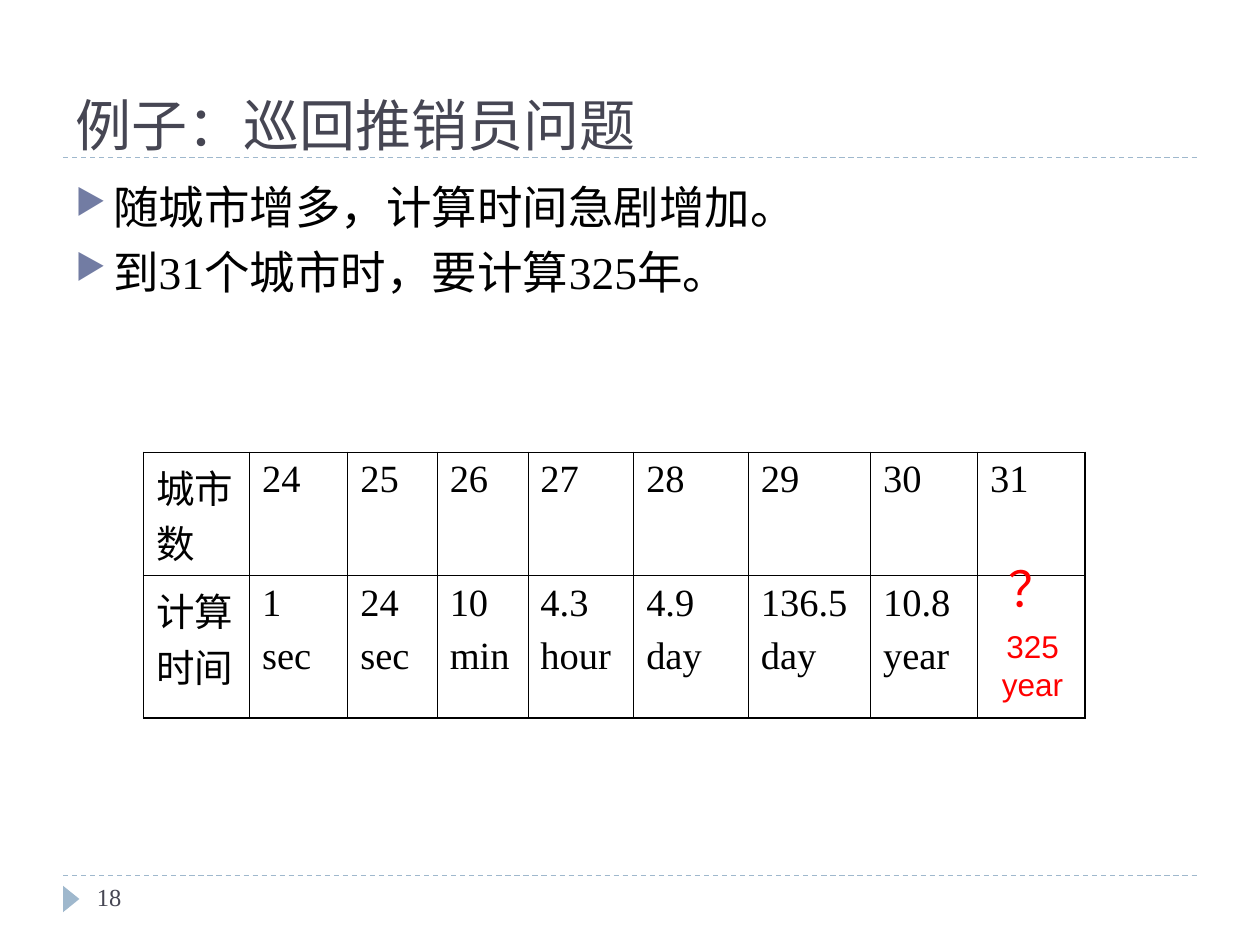
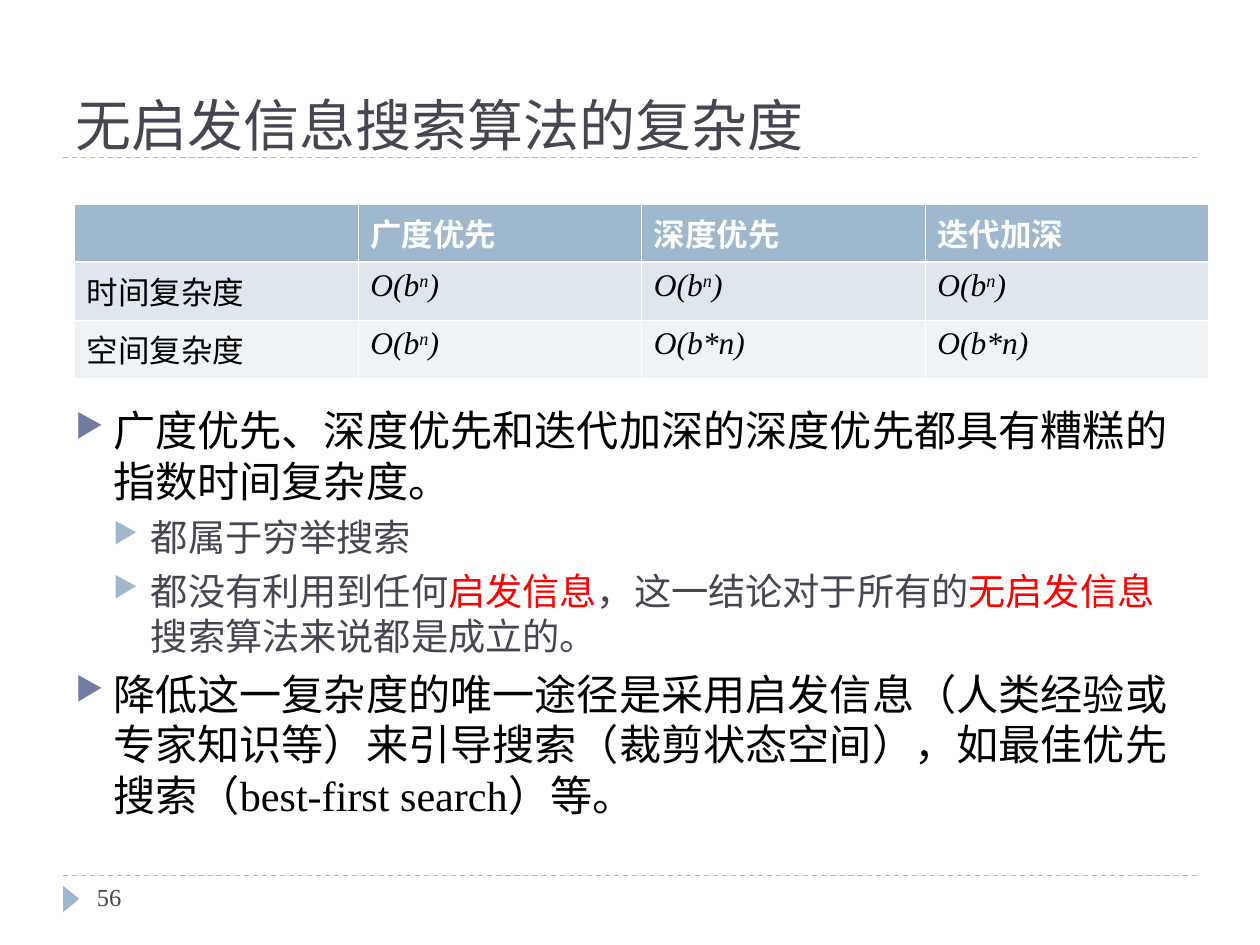
from dataclasses import dataclass

from lxml import etree
from pptx import Presentation
from pptx.dml.color import RGBColor
from pptx.enum.dml import MSO_LINE
from pptx.enum.shapes import MSO_CONNECTOR, MSO_SHAPE
from pptx.enum.text import MSO_ANCHOR, PP_ALIGN
from pptx.oxml.ns import qn
from pptx.util import Inches, Pt

DASH = MSO_LINE.DASH
STRAIGHT = MSO_CONNECTOR.STRAIGHT
TRIANGLE = MSO_SHAPE.ISOSCELES_TRIANGLE
TOP, BOTTOM = MSO_ANCHOR.TOP, MSO_ANCHOR.BOTTOM
LEFT, CENTER = PP_ALIGN.LEFT, PP_ALIGN.CENTER


@dataclass(frozen=True)
class Theme:
    ink: str = "000000"
    slate: str = "464653"
    red: str = "FF0000"
    white: str = "FFFFFF"
    sky: str = "9FB8CD"
    indigo: str = "727CA3"
    bands: tuple = ("DFE6ED", "F0F3F6")
    serif: str = "Times New Roman"
    sans: str = "Arial"
    title_size: float = 32
    page_size: float = 14
    table_size: float = 18
    line_pitch: float = 1.2
    thin: float = 0.45


THEME = Theme()
WIDTH, HEIGHT = 10, 7.5
MARGIN = WIDTH / 20
CONTENT = WIDTH - 2 * MARGIN
TITLE_RULE, FOOTER_RULE = 1.25, 6.95
INDENT = 0.3
# Per bullet level: text colour, bullet colour, space before
LEVELS = ((THEME.ink, THEME.indigo, 6), (THEME.slate, THEME.sky, 5))


def rgb(value):
    return RGBColor.from_string(value)


def style_font(font, size, color, name=THEME.serif, bold=False, italic=False):
    font.size, font.name = Pt(size), name
    font.bold, font.italic = bold, italic
    font.color.rgb = rgb(color)


# Shared slide parts

def add_text(slide, box, text, size, color, name=THEME.serif,
             align=LEFT, anchor=TOP, bottom=0.05):
    shape = slide.shapes.add_textbox(*map(Inches, box))
    frame = shape.text_frame
    frame.word_wrap = True
    frame.vertical_anchor = anchor
    frame.margin_bottom = Inches(bottom)
    frame.text = text
    paragraph = frame.paragraphs[0]
    paragraph.alignment = align
    for run in paragraph.runs:
        style_font(run.font, size, color, name)


def add_rule(slide, y):
    line = slide.shapes.add_connector(
        STRAIGHT, Inches(MARGIN), Inches(y), Inches(WIDTH - MARGIN), Inches(y))
    line.line.color.rgb = rgb(THEME.sky)
    line.line.width = Pt(0.75)
    line.line.dash_style = DASH
    etree.SubElement(line._element.spPr, qn("a:effectLst"))


def add_framed_slide(presentation, title, page):
    slide = presentation.slides.add_slide(presentation.slide_layouts[6])
    for y in (FOOTER_RULE, TITLE_RULE):
        add_rule(slide, y)
    marker = slide.shapes.add_shape(
        TRIANGLE, Inches(0.46), Inches(7.07), Inches(0.21), Inches(0.13))
    marker.rotation = 90
    marker.shadow.inherit = False
    marker.fill.solid()
    marker.fill.fore_color.rgb = rgb(THEME.sky)
    marker.line.fill.background()
    add_text(slide, (0.67, FOOTER_RULE, 2.17, 0.4), page,
             THEME.page_size, THEME.slate)
    add_text(slide, (MARGIN, 0.17, CONTENT, TITLE_RULE - 0.17), title,
             THEME.title_size, THEME.slate, THEME.sans, anchor=BOTTOM, bottom=0)
    return slide


# Bulleted body

def set_bullet(paragraph, level, color):
    properties = paragraph._p.get_or_add_pPr()
    properties.set("marL", str(Inches(INDENT * (level + 1))))
    properties.set("indent", str(-Inches(INDENT)))
    bullet_color = etree.SubElement(properties, qn("a:buClr"))
    etree.SubElement(bullet_color, qn("a:srgbClr"), val=color)
    etree.SubElement(properties, qn("a:buSzPct"), val="76000")
    etree.SubElement(properties, qn("a:buChar"), char="▶")


def add_bullets(slide, top, items, sizes):
    """Each item is a level and its text pieces; every second piece is red."""
    shape = slide.shapes.add_textbox(
        Inches(MARGIN), Inches(top), Inches(CONTENT), Inches(6.7 - top))
    frame = shape.text_frame
    frame.word_wrap = True
    frame.margin_top = Inches(0.09)
    for index, (level, *pieces) in enumerate(items):
        paragraph = frame.add_paragraph() if index else frame.paragraphs[0]
        color, bullet_color, space = LEVELS[level]
        paragraph.level = level
        set_bullet(paragraph, level, bullet_color)
        paragraph.line_spacing = Pt(round(sizes[level] * THEME.line_pitch, 1))
        if index:
            paragraph.space_before = Pt(space)
        for number, piece in enumerate(pieces):
            run = paragraph.add_run()
            run.text = piece
            style_font(run.font, sizes[level], THEME.red if number % 2 else color)


# Tables

def set_borders(cell, color, left, right, top, bottom):
    properties = cell._tc.get_or_add_tcPr()
    for side, width in zip("LRTB", (left, right, top, bottom)):
        line = etree.SubElement(properties, qn(f"a:ln{side}"), w=str(Pt(width)))
        fill = etree.SubElement(line, qn("a:solidFill"))
        etree.SubElement(fill, qn("a:srgbClr"), val=color)


def add_grid(slide, left, top, columns, rows):
    frame = slide.shapes.add_table(
        len(rows), len(columns), Inches(left), Inches(top),
        Inches(sum(columns)), Inches(sum(rows)))
    table = frame.table
    table.first_row = table.horz_banding = False
    for column, width in zip(table.columns, columns):
        column.width = Inches(width)
    for row, height in zip(table.rows, rows):
        row.height = Inches(height)
    return table


def add_timing_table(slide, cities, times):
    outer, thin = 1.08, THEME.thin
    table = add_grid(slide, 1.14, 3.59,
                     (0.84, 0.78, 0.71, 0.72, 0.84, 0.91, 0.97, 0.85, 0.85),
                     (0.98, 1.13))
    last = len(cities) - 1
    for r, texts in enumerate((cities, times)):
        for c, text in enumerate(texts):
            cell = table.cell(r, c)
            set_borders(cell, THEME.ink,
                        thin if c else outer, outer if c == last else thin,
                        thin if r else outer, outer if r else thin)
            cell.fill.background()
            cell.text_frame.text = text
            for index, paragraph in enumerate(cell.text_frame.paragraphs):
                if index:
                    paragraph.space_before = Pt(6)
                for run in paragraph.runs:
                    style_font(run.font, 22, THEME.ink)


def fill_formula(paragraph, formula):
    """Write a formula in italics; the part between ^ marks is raised."""
    for number, piece in enumerate(formula.split("^")):
        run = paragraph.add_run()
        run.text = piece
        style_font(run.font, THEME.table_size, THEME.ink, italic=True)
        if number % 2:
            run._r.get_or_add_rPr().set("baseline", "30000")


def add_complexity_table(slide, rows):
    thin, header_rule = THEME.thin, 1.47
    table = add_grid(slide, 0.59, 1.62, [CONTENT / 4] * 4, [0.46] * 3)
    fills = (THEME.sky, *THEME.bands)
    for r, texts in enumerate(rows):
        for c, text in enumerate(texts):
            cell = table.cell(r, c)
            set_borders(cell, THEME.white, thin, thin,
                        header_rule if r == 1 else thin,
                        thin if r else header_rule)
            cell.fill.solid()
            cell.fill.fore_color.rgb = rgb(fills[r])
            paragraph = cell.text_frame.paragraphs[0]
            if r and c:
                fill_formula(paragraph, text)
                continue
            paragraph.text = text
            for run in paragraph.runs:
                style_font(run.font, THEME.table_size,
                           THEME.ink if r else THEME.white, bold=not r)


# Slides

def build_salesman_slide(presentation):
    slide = add_framed_slide(presentation, "例子：巡回推销员问题", "18")
    add_bullets(slide, 1.33, [
        (0, "随城市增多，计算时间急剧增加。"),
        (0, "到31个城市时，要计算325年。"),
    ], (26,))
    add_timing_table(
        slide,
        ("城市数", "24", "25", "26", "27", "28", "29", "30", "31"),
        ("计算时间", "1\nsec", "24\nsec", "10\nmin", "4.3\nhour", "4.9\nday",
         "136.5\nday", "10.8\nyear", ""))
    for top, height, text, size in ((4.38, 0.57, "？", 28),
                                    (4.93, 0.7, "325\vyear", 18)):
        add_text(slide, (7.84, top, 0.71, height), text, size,
                 THEME.red, THEME.sans, CENTER)


def build_complexity_slide(presentation):
    slide = add_framed_slide(presentation, "无启发信息搜索算法的复杂度", "56")
    add_bullets(slide, 3.12, [
        (0, "广度优先、深度优先和迭代加深的深度优先都具有糟糕的指数时间复杂度。"),
        (1, "都属于穷举搜索"),
        (1, "都没有利用到任何", "启发信息", "，这一结论对于所有的",
         "无启发信息", "搜索算法来说都是成立的。"),
        (0, "降低这一复杂度的唯一途径是采用启发信息（人类经验或专家知识等）"
            "来引导搜索（裁剪状态空间），如最佳优先搜索（best-first search）等。"),
    ], (24.1, 21.3))
    add_complexity_table(slide, (
        ("", "广度优先", "深度优先", "迭代加深"),
        ("时间复杂度", "O(b^n^)", "O(b^n^)", "O(b^n^)"),
        ("空间复杂度", "O(b^n^)", "O(b*n)", "O(b*n)"),
    ))


def main():
    presentation = Presentation()
    presentation.slide_width = Inches(WIDTH)
    presentation.slide_height = Inches(HEIGHT)
    build_salesman_slide(presentation)
    build_complexity_slide(presentation)
    presentation.save("out.pptx")


if __name__ == "__main__":
    main()
